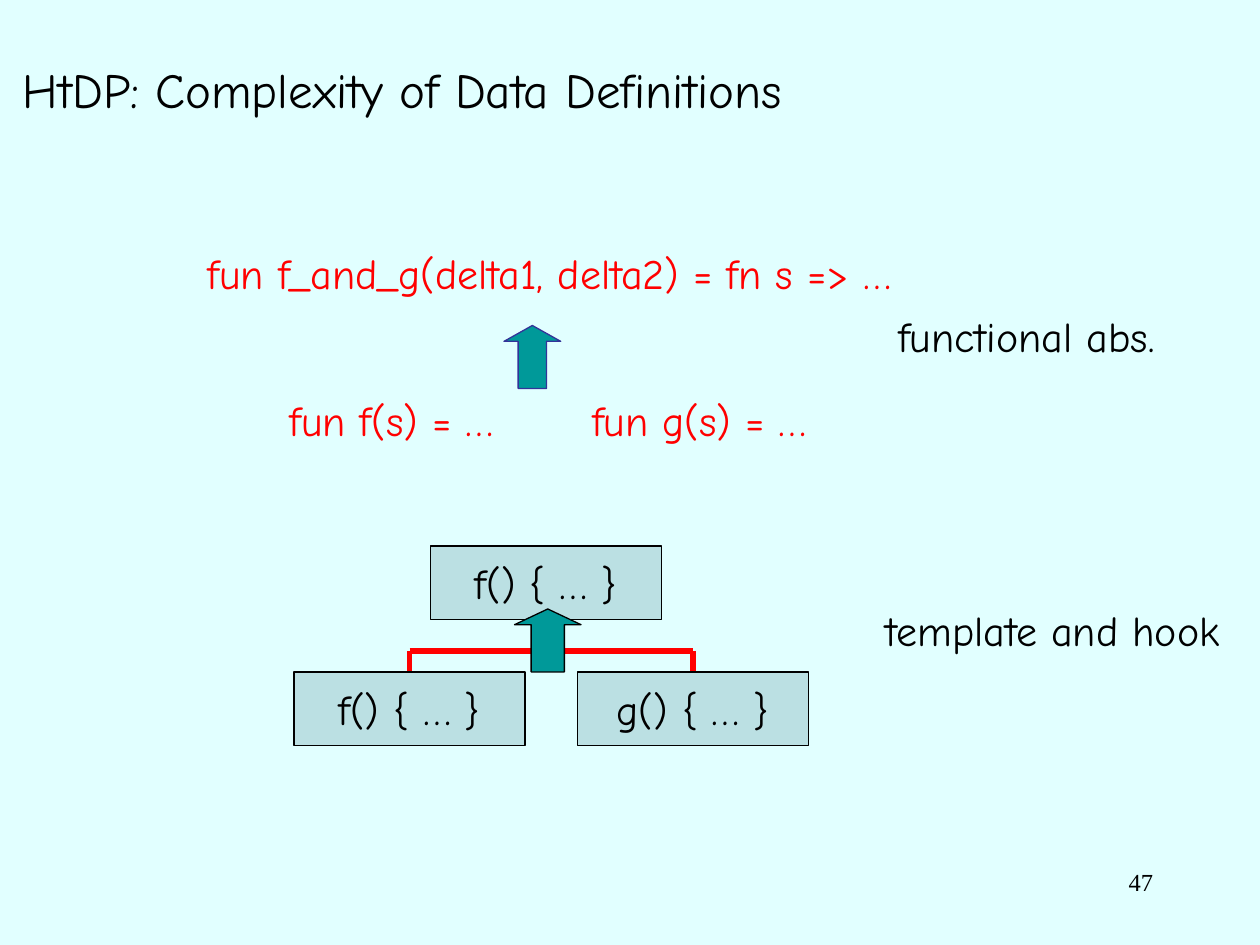
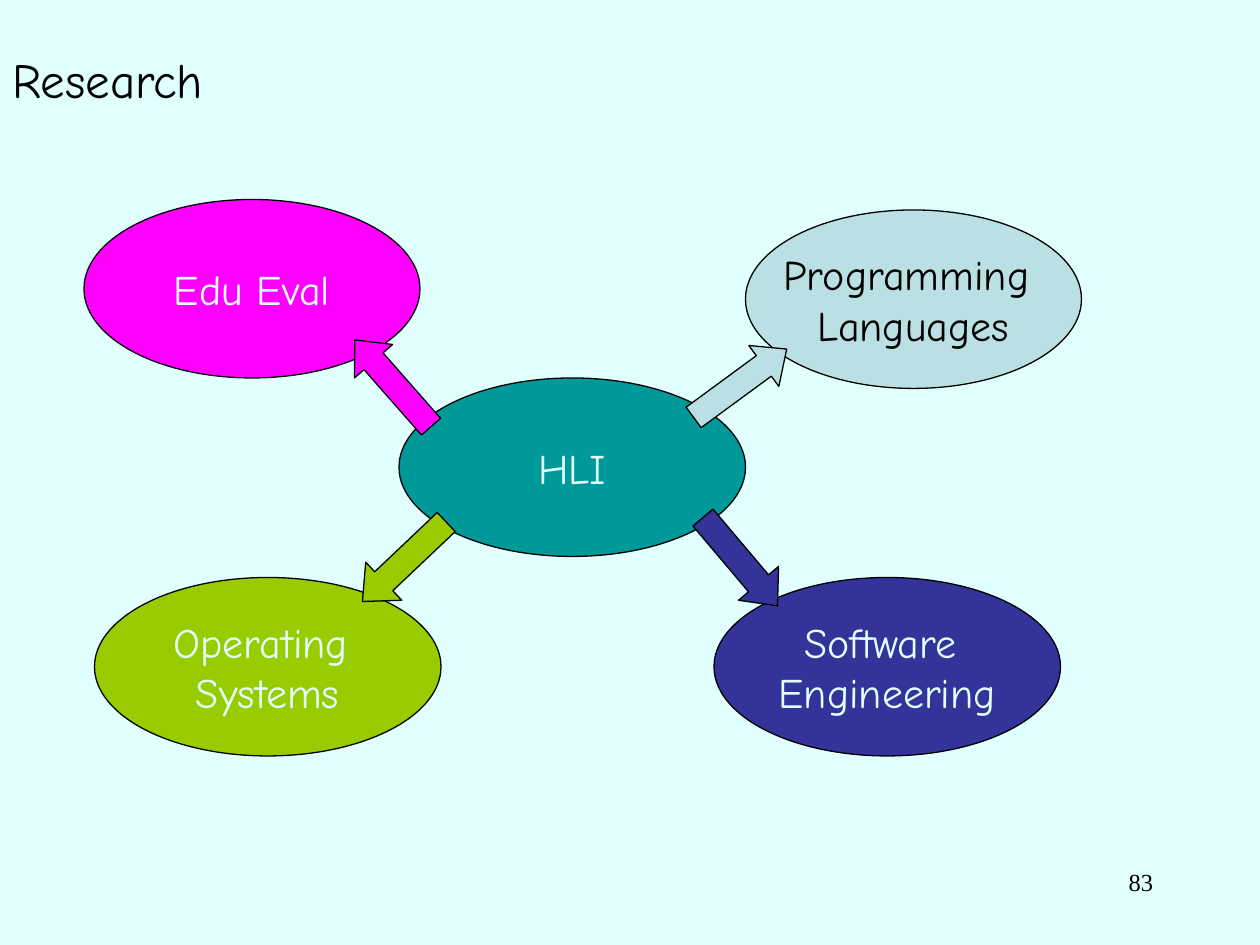
from lxml import etree
from pptx import Presentation
from pptx.dml.color import RGBColor
from pptx.enum import shapes, text
from pptx.oxml import ns
from pptx.util import Pt

BACKGROUND = RGBColor(0xE1, 0xFF, 0xFF)
BLACK = RGBColor(0x00, 0x00, 0x00)
RED = RGBColor(0xFF, 0x00, 0x00)
PALE = RGBColor(0xBB, 0xE0, 0xE3)
TEAL = RGBColor(0x00, 0x99, 0x99)
NAVY = RGBColor(0x33, 0x33, 0x99)
LIME = RGBColor(0x99, 0xCC, 0x00)
MAGENTA = RGBColor(0xFF, 0x00, 0xFF)

BODY_FONT = "Comic Neue"
NUMBER_FONT = "Times New Roman"
KIND = shapes.MSO_SHAPE
ALIGN = text.PP_ALIGN


def write(sp, words, size=24, color=BLACK, font=BODY_FONT, align=ALIGN.LEFT,
          anchor=text.MSO_ANCHOR.TOP, wrap=False):
    tf = sp.text_frame
    tf.text = words
    tf.word_wrap = wrap
    tf.vertical_anchor = anchor
    for p in tf.paragraphs:
        p.alignment = align
        for r in p.runs:
            r.font.size = Pt(size)
            r.font.name = font
            r.font.color.rgb = color


def add_text(s, words, x, y, w, h=36, **style):
    sp = s.shapes.add_textbox(Pt(x), Pt(y), Pt(w), Pt(h))
    write(sp, words, **style)
    return sp


def add_label(s, words, x, y, w, color=BLACK):
    sp = add_text(s, words, x, y, w, color=color)
    sp.text_frame.auto_size = text.MSO_AUTO_SIZE.SHAPE_TO_FIT_TEXT


def add_figure(s, kind, x, y, w, h, fill, line=BLACK):
    sp = s.shapes.add_shape(kind, Pt(x), Pt(y), Pt(w), Pt(h))
    sp.shadow.inherit = False
    sp.fill.solid()
    sp.fill.fore_color.rgb = fill
    sp.line.color.rgb = line
    sp.line.width = Pt(0.75)
    return sp


def add_node(s, kind, words, x, y, w, h, fill=PALE, color=BLACK):
    sp = add_figure(s, kind, x, y, w, h, fill)
    write(sp, words, color=color, align=ALIGN.CENTER,
          anchor=text.MSO_ANCHOR.MIDDLE)


def add_block_arrow(s, kind, x, y, w, h, fill, head, line=BLACK, rotation=0):
    sp = add_figure(s, kind, x, y, w, h, fill, line)
    sp.adjustments[0] = 0.5
    sp.adjustments[1] = head
    sp.rotation = rotation


def add_line(s, x1, y1, x2, y2):
    c = s.shapes.add_connector(shapes.MSO_CONNECTOR.STRAIGHT,
                               Pt(x1), Pt(y1), Pt(x2), Pt(y2))
    c.line.color.rgb = RED
    c.line.width = Pt(3)
    etree.SubElement(c._element.spPr, ns.qn("a:effectLst"))


def add_slide(prs, title, x, y, number):
    s = prs.slides.add_slide(prs.slide_layouts[6])
    s.background.fill.solid()
    s.background.fill.fore_color.rgb = BACKGROUND
    add_text(s, title, x, y, 612, 90, size=28,
             anchor=text.MSO_ANCHOR.MIDDLE, wrap=True)
    add_text(s, number, 516, 492, 150, size=14, font=NUMBER_FONT,
             align=ALIGN.RIGHT, wrap=True)
    return s


def build_data_definitions(prs):
    s = add_slide(prs, "HtDP: Complexity of Data Definitions", 6, 6, "47")
    add_label(s, "fun f_and_g(delta1, delta2) = fn s => …", 111.6, 138, 445.7, RED)
    add_label(s, "fun f(s) = …", 158.4, 222, 144, RED)
    add_label(s, "fun g(s) = …", 331.2, 222, 150.5, RED)
    add_block_arrow(s, KIND.UP_ARROW, 288, 186, 32.4, 36, TEAL, 0.28, NAVY)
    add_label(s, "functional abs.", 506.2, 174, 180)

    box_w, box_h, child_y, bar_y = 132, 42, 384, 372
    children = [("f() { … }", 168), ("g() { … }", 330)]
    centers = [x + box_w / 2 for _, x in children]
    add_line(s, centers[0], bar_y, centers[-1], bar_y)
    for (words, x), center in zip(children, centers):
        add_line(s, center, bar_y, center, child_y)
        add_node(s, KIND.RECTANGLE, words, x, child_y, box_w, box_h)
    add_node(s, KIND.RECTANGLE, "f() { … }", 246, 312, box_w, box_h)
    add_block_arrow(s, KIND.UP_ARROW, 294, 348, 38, 36, TEAL, 0.25)
    add_label(s, "template and hook", 499, 342, 227.5)


def build_research(prs):
    s = add_slide(prs, "Research", 0, 0, "83")
    node_h, arrow_w = 102, 66
    add_node(s, KIND.OVAL, "HLI", 228, 216, 198, node_h, TEAL, BACKGROUND)
    fields = [
        ("Operating \nSystems", 54, 330, 198, LIME, BACKGROUND,
         (198, 306, 30, 136.5)),
        ("Programming \nLanguages", 426, 120, 192, PALE, BLACK,
         (390, 204.5, 29, 323.7)),
        ("Software \nEngineering", 408, 330, 198, NAVY, BACKGROUND,
         (390, 306, 30, 49.8)),
        ("Edu Eval", 48, 114, 192, MAGENTA, BACKGROUND,
         (191.5, 204.5, 29, 228.7)),
    ]
    for words, x, y, w, fill, color, (ax, ay, ah, rotation) in fields:
        add_node(s, KIND.OVAL, words, x, y, w, node_h, fill, color)
        add_block_arrow(s, KIND.RIGHT_ARROW, ax, ay, arrow_w, ah, fill, 0.56,
                        rotation=rotation)


def main():
    prs = Presentation()
    prs.slide_width = Pt(720)
    prs.slide_height = Pt(540)
    build_data_definitions(prs)
    build_research(prs)
    prs.save("out.pptx")


if __name__ == "__main__":
    main()
